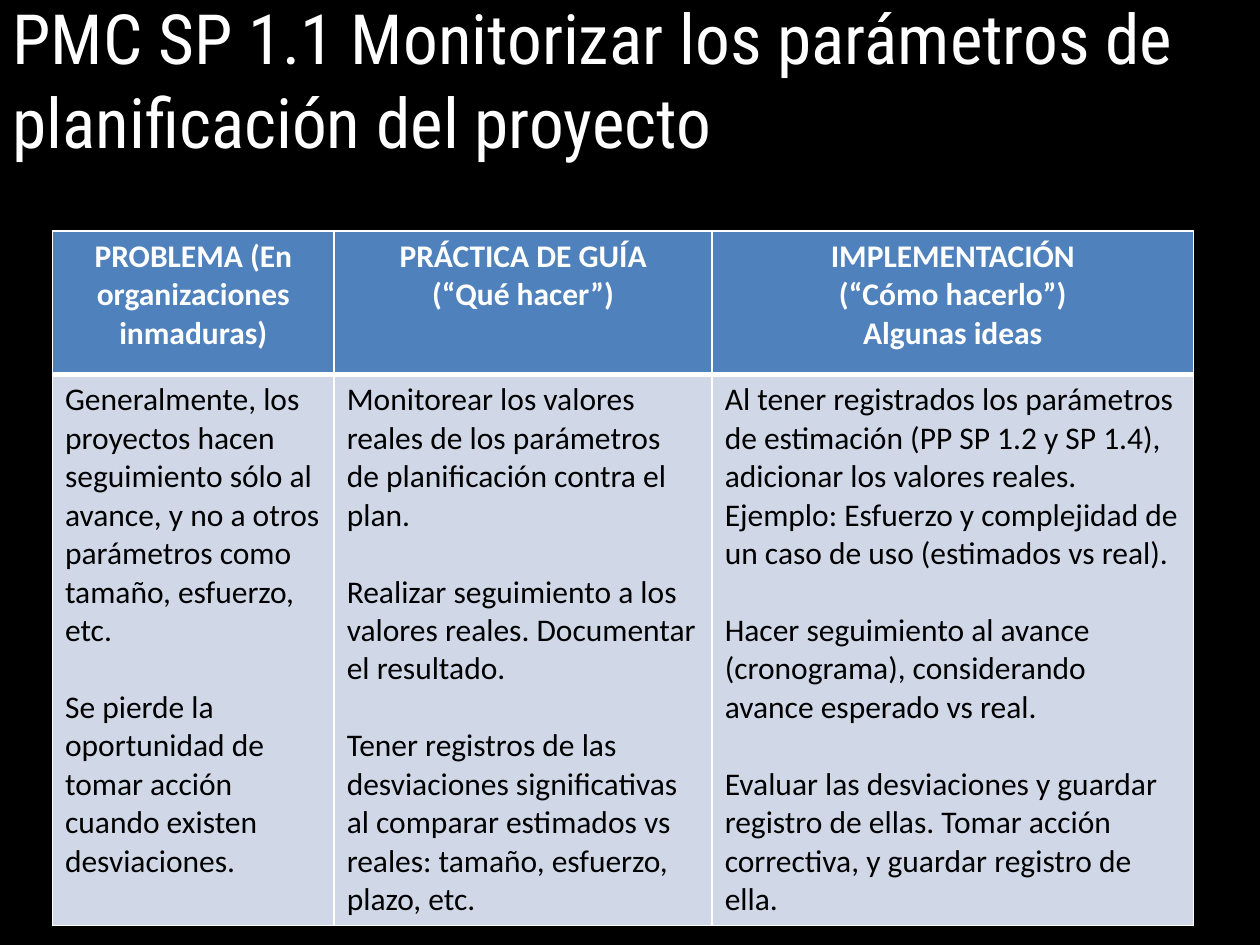
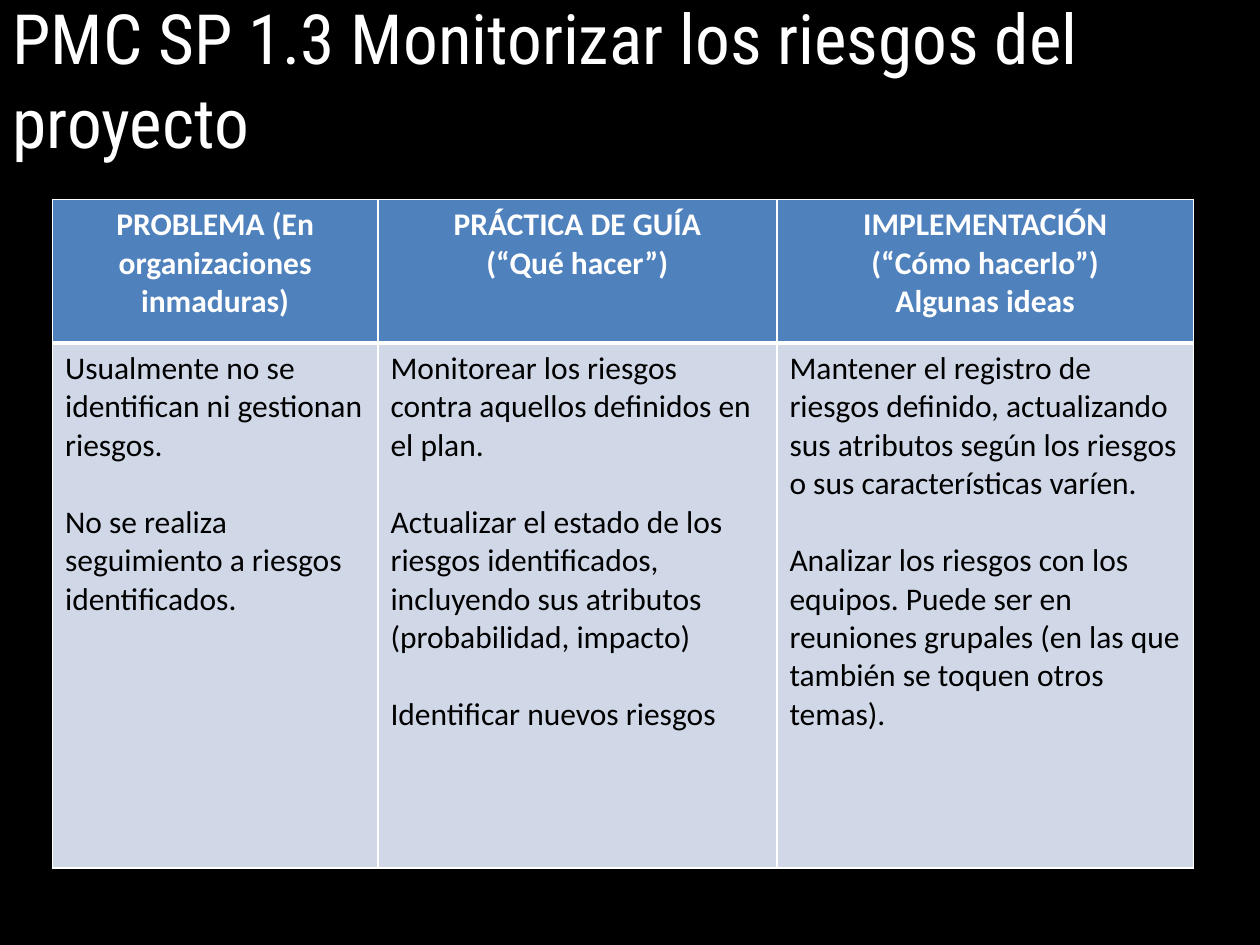
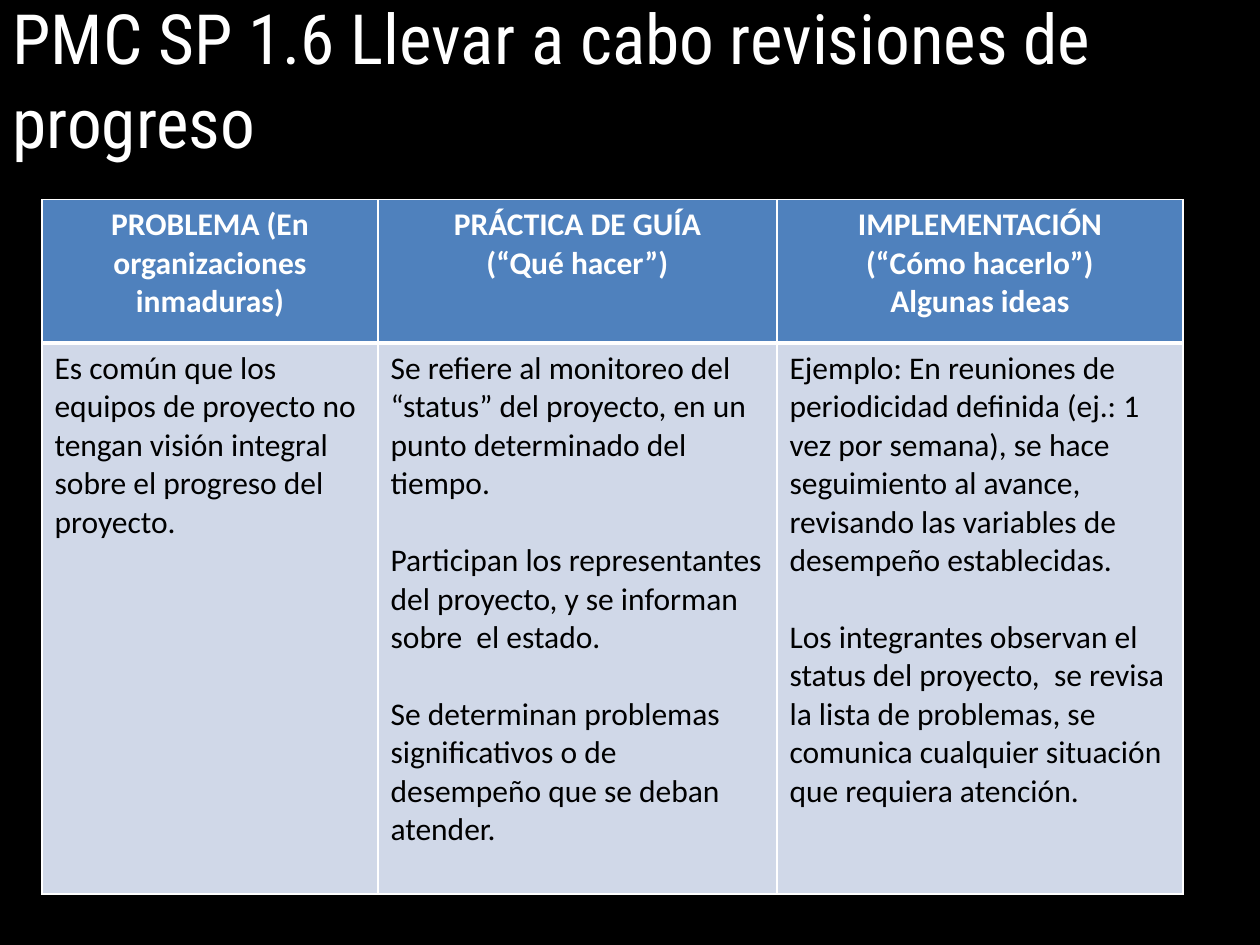
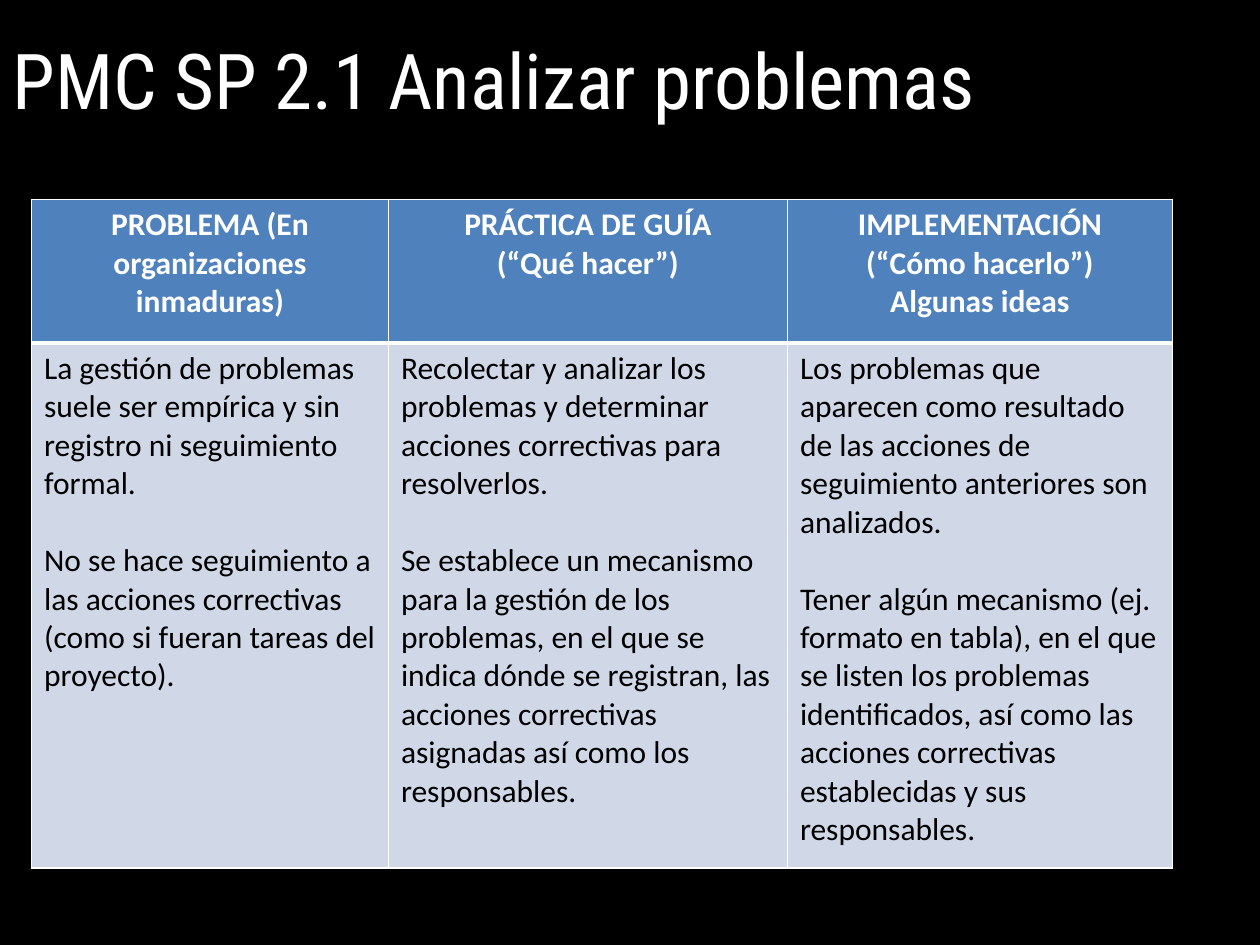
from lxml import etree
from pptx import Presentation
from pptx.dml.color import RGBColor
from pptx.enum.text import MSO_ANCHOR, MSO_AUTO_SIZE, PP_ALIGN
from pptx.oxml.ns import qn
from pptx.util import Pt

LEFT, CENTER = PP_ALIGN.LEFT, PP_ALIGN.CENTER
MIDDLE, NO_FIT = MSO_ANCHOR.MIDDLE, MSO_AUTO_SIZE.NONE
BLACK = RGBColor(0x00, 0x00, 0x00)
WHITE = RGBColor(0xFF, 0xFF, 0xFF)
HEADER_BLUE = RGBColor(0x4F, 0x81, 0xBD)
BODY_BLUE = RGBColor(0xD0, 0xD8, 0xE8)
TITLE_FONT, TABLE_FONT = "Roboto Condensed", "Calibri"
TABLE_WIDTH, HEADER_HEIGHT = 652, 82
BODY_GAP = 22

HEADINGS = [
    ["PROBLEMA (En organizaciones inmaduras)"],
    ["PRÁCTICA DE GUÍA", "(“Qué hacer”)"],
    ["IMPLEMENTACIÓN", "(“Cómo hacerlo”)", "Algunas ideas"],
]

PRACTICES = [
    {
        "title": "PMC SP 1.1 Monitorizar los parámetros de planificación del proyecto",
        "title_size": 39.6, "left": 30, "top": 132, "columns": (161, 216), "body_height": 315,
        "body": [
            ["Generalmente, los proyectos hacen seguimiento sólo al avance, y no a otros "
             "parámetros como tamaño, esfuerzo, etc.",
             "Se pierde la oportunidad de tomar acción cuando existen desviaciones."],
            ["Monitorear los valores reales de los parámetros de planificación contra el plan.",
             "Realizar seguimiento a los valores reales. Documentar el resultado.",
             "Tener registros de las desviaciones significativas al comparar estimados vs "
             "reales: tamaño, esfuerzo, plazo, etc."],
            ["Al tener registrados los parámetros de estimación (PP SP 1.2 y SP 1.4), "
             "adicionar los valores reales.  Ejemplo: Esfuerzo y complejidad de un caso de "
             "uso (estimados vs real).",
             "Hacer seguimiento al avance (cronograma), considerando avance esperado vs real.",
             "Evaluar las desviaciones y guardar registro de ellas. Tomar acción correctiva, "
             "y guardar registro de ella."],
        ],
    },
    {
        "title": "PMC SP 1.3 Monitorizar los riesgos del proyecto",
        "title_size": 39.6, "left": 30, "top": 114, "columns": (186, 228), "body_height": 300,
        "body": [
            ["Usualmente no se identifican ni gestionan riesgos.",
             "No se realiza seguimiento a riesgos identificados."],
            ["Monitorear los riesgos contra aquellos definidos en el plan.",
             "Actualizar el estado de los riesgos identificados, incluyendo sus atributos "
             "(probabilidad, impacto)",
             "Identificar nuevos riesgos"],
            ["Mantener el registro de riesgos definido, actualizando sus atributos según los "
             "riesgos o sus características varíen.",
             "Analizar los riesgos con los equipos. Puede ser en reuniones grupales (en las "
             "que también se toquen otros temas)."],
        ],
    },
    {
        "title": "PMC SP 1.6 Llevar a cabo revisiones de progreso",
        "title_size": 39.6, "left": 24, "top": 114, "columns": (192, 228), "body_height": 315,
        "body": [
            ["Es común que los equipos de proyecto no tengan visión integral sobre el "
             "progreso del proyecto."],
            ["Se refiere al monitoreo del “status” del proyecto, en un punto determinado del "
             "tiempo.",
             "Participan los representantes del proyecto, y se informan sobre  el estado.",
             "Se determinan problemas significativos o de desempeño que se deban atender."],
            ["Ejemplo: En reuniones de periodicidad definida (ej.: 1 vez por semana), se hace "
             "seguimiento al avance, revisando las variables de desempeño establecidas.",
             "Los integrantes observan el status del proyecto,  se revisa la lista de "
             "problemas, se comunica cualquier situación que requiera atención."],
        ],
    },
    {
        "title": "PMC SP 2.1 Analizar problemas",
        "title_size": 44, "left": 18, "top": 114, "columns": (204, 228), "body_height": 300,
        "body": [
            ["La gestión de problemas suele ser empírica y sin registro ni seguimiento formal.",
             "No se hace seguimiento a las acciones correctivas (como si fueran tareas del "
             "proyecto)."],
            ["Recolectar y analizar los problemas y determinar acciones correctivas para "
             "resolverlos.",
             "Se establece un mecanismo para la gestión de los problemas, en el que se indica "
             "dónde se registran, las acciones correctivas asignadas así como los "
             "responsables."],
            ["Los problemas que aparecen como resultado de las acciones de seguimiento "
             "anteriores son analizados.",
             "Tener algún mecanismo (ej. formato en tabla), en el que se listen los problemas "
             "identificados, así como las acciones correctivas establecidas y sus "
             "responsables."],
        ],
    },
]


def add_run(paragraph, text, font, size, color, bold=False):
    run = paragraph.add_run()
    run.text = text
    run.font.name = font
    run.font.size = Pt(size)
    run.font.color.rgb = color
    run.font.bold = bold


def set_borders(cell, widths):
    properties = cell._tc.get_or_add_tcPr()
    for position, (side, width) in enumerate(widths.items()):
        line = etree.Element(qn(f"a:ln{side}"), w=str(Pt(width)))
        fill = etree.SubElement(line, qn("a:solidFill"))
        etree.SubElement(fill, qn("a:srgbClr"), val=str(WHITE))
        properties.insert(position, line)


prs = Presentation()
prs.slide_width, prs.slide_height = Pt(720), Pt(540)
background = prs.slide_master.background.fill
background.solid()
background.fore_color.rgb = BLACK
title_only = prs.slide_layouts[5]

for practice in PRACTICES:
    slide = prs.slides.add_slide(title_only)

    title = slide.shapes.title
    title.left, title.top, title.width, title.height = Pt(0), Pt(0), Pt(690), Pt(90)
    title.text_frame.vertical_anchor = MIDDLE
    title.text_frame.auto_size = NO_FIT
    heading = title.text_frame.paragraphs[0]
    heading.alignment = LEFT
    add_run(heading, practice["title"], TITLE_FONT, practice["title_size"], WHITE)

    row_heights = (HEADER_HEIGHT, practice["body_height"])
    table = slide.shapes.add_table(
        2, 3, Pt(practice["left"]), Pt(practice["top"]), Pt(TABLE_WIDTH), Pt(sum(row_heights))
    ).table
    table.horz_banding = False
    column_widths = (*practice["columns"], TABLE_WIDTH - sum(practice["columns"]))
    for column, width in zip(table.columns, column_widths):
        column.width = Pt(width)

    for row_index, texts in enumerate((HEADINGS, practice["body"])):
        is_header = row_index == 0
        table.rows[row_index].height = Pt(row_heights[row_index])
        for column_index, paragraphs in enumerate(texts):
            cell = table.cell(row_index, column_index)
            cell.fill.solid()
            cell.fill.fore_color.rgb = HEADER_BLUE if is_header else BODY_BLUE
            set_borders(cell, {"L": 1, "R": 1, "T": 1 if is_header else 3,
                               "B": 3 if is_header else 1})
            for index, text in enumerate(paragraphs):
                frame = cell.text_frame
                paragraph = frame.add_paragraph() if index else frame.paragraphs[0]
                paragraph.alignment = CENTER if is_header else LEFT
                if index and not is_header:
                    paragraph.space_before = Pt(BODY_GAP)
                add_run(paragraph, text, TABLE_FONT, 18, WHITE if is_header else BLACK, is_header)

prs.save("out.pptx")
